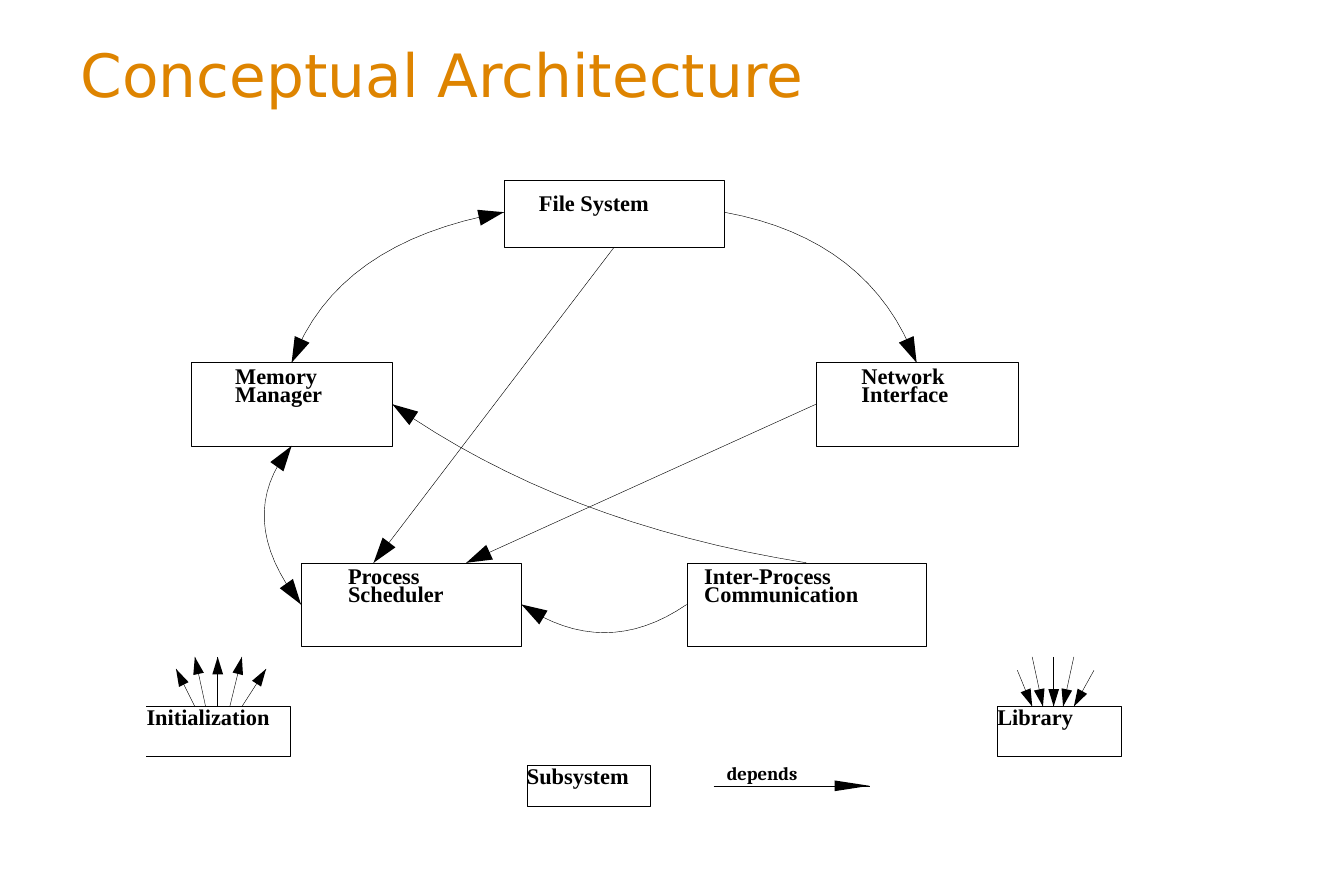
from math import hypot

from lxml.etree import SubElement
from pptx import Presentation
from pptx.dml.color import RGBColor
from pptx.enum.shapes import MSO_CONNECTOR, MSO_SHAPE
from pptx.enum.text import MSO_ANCHOR, MSO_AUTO_SIZE, PP_ALIGN
from pptx.oxml.ns import qn
from pptx.util import Inches, Pt

TITLE = "Conceptual Architecture"
BLACK, WHITE, ORANGE = "000000", "FFFFFF", "DE8400"
THIN = Pt(0.22)
SERIF = "Times New Roman"

# name: box, label place, label lines
PARTS = {
    "network": ((6.07, 2.7, 1.51, 0.62), (6.41, 2.77, 0.83, 0.48), ["Network", "Interface"]),
    "file": ((3.75, 1.34, 1.64, 0.5), (4.01, 1.48, 1.11, 0.21), ["File System"]),
    "memory": ((1.42, 2.7, 1.5, 0.62), (1.75, 2.77, 0.85, 0.48), ["Memory", "Manager"]),
    "process": ((2.24, 4.19, 1.64, 0.62), (2.59, 4.26, 0.94, 0.48), ["Process", "Scheduler"]),
    "ipc": ((5.11, 4.19, 1.78, 0.62), (5.24, 4.26, 1.53, 0.48),
            ["Inter-Process", "Communication"]),
}
# start, control point, end, head at both ends
CURVES = [
    ((5.39, 1.58), (6.48, 1.78), (6.82, 2.7), False),
    ((3.75, 1.58), (2.5, 1.8), (2.17, 2.7), True),
    ((2.17, 3.32), (1.73, 3.85), (2.24, 4.5), True),
    ((6, 4.19), (4.18, 3.9), (2.92, 3.01), False),
    ((5.11, 4.5), (4.5, 4.92), (3.88, 4.5), False),
]
# start, end, part and side where it begins
LINKS = [
    ((4.57, 1.84), (2.78, 4.19), "file", 2),
    ((6.07, 3.01), (3.47, 4.19), "network", 1),
]
# label, box, space before, outlined
NOTES = [
    ("Initialization", (1.09, 5.26, 1.08, 0.37), 4, False),
    ("Library", (7.42, 5.26, 0.92, 0.37), 3.9, True),
    ("Subsystem", (3.92, 5.7, 0.92, 0.3), 1.6, True),
]
# x at the box, x at the far end, y at the far end
OUT = [(1.45, 1.31, 4.98), (1.53, 1.45, 4.89), (1.62, 1.62, 4.89),
       (1.71, 1.8, 4.89), (1.8, 1.98, 4.98)]
INTO = [(7.68, 7.57, 4.99), (7.76, 7.68, 4.89), (7.84, 7.84, 4.89),
        (7.91, 7.99, 4.89), (7.99, 8.14, 4.99)]
EDGE = 5.26

deck = Presentation()
deck.slide_width, deck.slide_height = Inches(10), Inches(6.67)
slide = deck.slides.add_slide(deck.slide_layouts[5])
shapes = slide.shapes


def color(code):
    return RGBColor.from_string(code)


def paint(shape, fill=None, line=None):
    shape.shadow.inherit = False
    if fill:
        shape.fill.solid()
        shape.fill.fore_color.rgb = color(fill)
    else:
        shape.fill.background()
    if line:
        shape.line.color.rgb = color(line)
        shape.line.width = THIN
    else:
        shape.line.fill.background()


def box(place, line):
    rect = shapes.add_shape(MSO_SHAPE.RECTANGLE, *map(Inches, place))
    paint(rect, WHITE, line)
    return rect


def write(shape, rows, size=12, font=SERIF, inset=0):
    """Rows are (text, line spacing, space before)."""
    frame = shape.text_frame
    frame.vertical_anchor = MSO_ANCHOR.TOP
    if inset is not None:
        frame.margin_left = frame.margin_right = Inches(inset)
        frame.margin_top = frame.margin_bottom = Inches(inset)
    for i, (text, gap, before) in enumerate(rows):
        para = frame.add_paragraph() if i else frame.paragraphs[0]
        para.alignment = PP_ALIGN.LEFT
        para.line_spacing = gap
        para.space_before = Pt(before)
        run = para.add_run()
        run.text = text
        run.font.name, run.font.size, run.font.bold = font, Pt(size), True
        run.font.color.rgb = color(BLACK)


def trace(points, close=False):
    dots = [(Inches(x), Inches(y)) for x, y in points]
    pen = shapes.build_freeform(*dots[0])
    pen.add_line_segments(dots[1:], close=close)
    return pen.convert_to_shape()


def head(start, tip, size, half):
    """Draw a solid arrowhead at tip, pointing away from start."""
    dx, dy = tip[0] - start[0], tip[1] - start[1]
    span = hypot(dx, dy)
    dx, dy = dx / span, dy / span
    x, y = tip[0] - dx * size, tip[1] - dy * size
    paint(trace([tip, (x - dy * half, y + dx * half),
                 (x + dy * half, y - dx * half)], True), BLACK)


def arrow(start, end, size, half):
    line = shapes.add_connector(MSO_CONNECTOR.STRAIGHT, *map(Inches, start + end))
    line.line.color.rgb = color(BLACK)
    line.line.width = THIN
    SubElement(line._element.spPr, qn("a:effectLst"))
    head(start, end, size, half)
    return line


def bend(a, b, c, steps=16):
    """Points on the quadratic curve from a to c, pulled towards b."""
    return [tuple((1 - t) ** 2 * p + 2 * t * (1 - t) * q + t * t * r
                  for p, q, r in zip(a, b, c))
            for t in (i / steps for i in range(steps + 1))]


title = shapes.title
title.left, title.top, title.width, title.height = map(Inches, (0.5, 0.25, 9, 0.59))
frame = title.text_frame
frame.auto_size = MSO_AUTO_SIZE.NONE
frame.vertical_anchor = MSO_ANCHOR.MIDDLE
frame.paragraphs[0].alignment = PP_ALIGN.LEFT
run = frame.paragraphs[0].add_run()
run.text = TITLE
run.font.name, run.font.size = "DejaVu Sans", Pt(32)
run.font.color.rgb = color(ORANGE)

rects = {name: box(place, BLACK) for name, (place, _, _) in PARTS.items()}

for a, b, c, both in CURVES:
    dots = bend(a, b, c)
    paint(trace(dots), line=BLACK)
    head(dots[-3], c, 0.19, 0.06)
    if both:
        head(dots[2], a, 0.19, 0.06)

for start, end, name, side in LINKS:
    arrow(start, end, 0.19, 0.06).begin_connect(rects[name], side)

for _, place, rows in PARTS.values():
    label = shapes.add_textbox(*map(Inches, place))
    write(label, [(text, 0.63 if i else 0.58, 0.6 if i else 0)
                  for i, text in enumerate(rows)])

for text, place, before, framed in NOTES:
    note = box(place, BLACK if framed else None)
    note.text_frame.word_wrap = True
    write(note, [(text, 0.9, before)])
paint(trace([(1.09, EDGE), (2.16, EDGE), (2.16, 5.63), (1.09, 5.63)]), line=BLACK)

for near, far, y in OUT:
    arrow((near, EDGE), (far, y), 0.13, 0.04)
for near, far, y in INTO:
    arrow((far, y), (near, EDGE), 0.13, 0.04)

arrow((5.31, 5.85), (6.47, 5.85), 0.26, 0.04)
key = shapes.add_textbox(*map(Inches, (5.31, 5.64, 1.42, 0.26)))
key.text_frame.word_wrap = True
write(key, [("depends", 0.9, 0)], 10, "Cambria", None)

deck.save("out.pptx")
